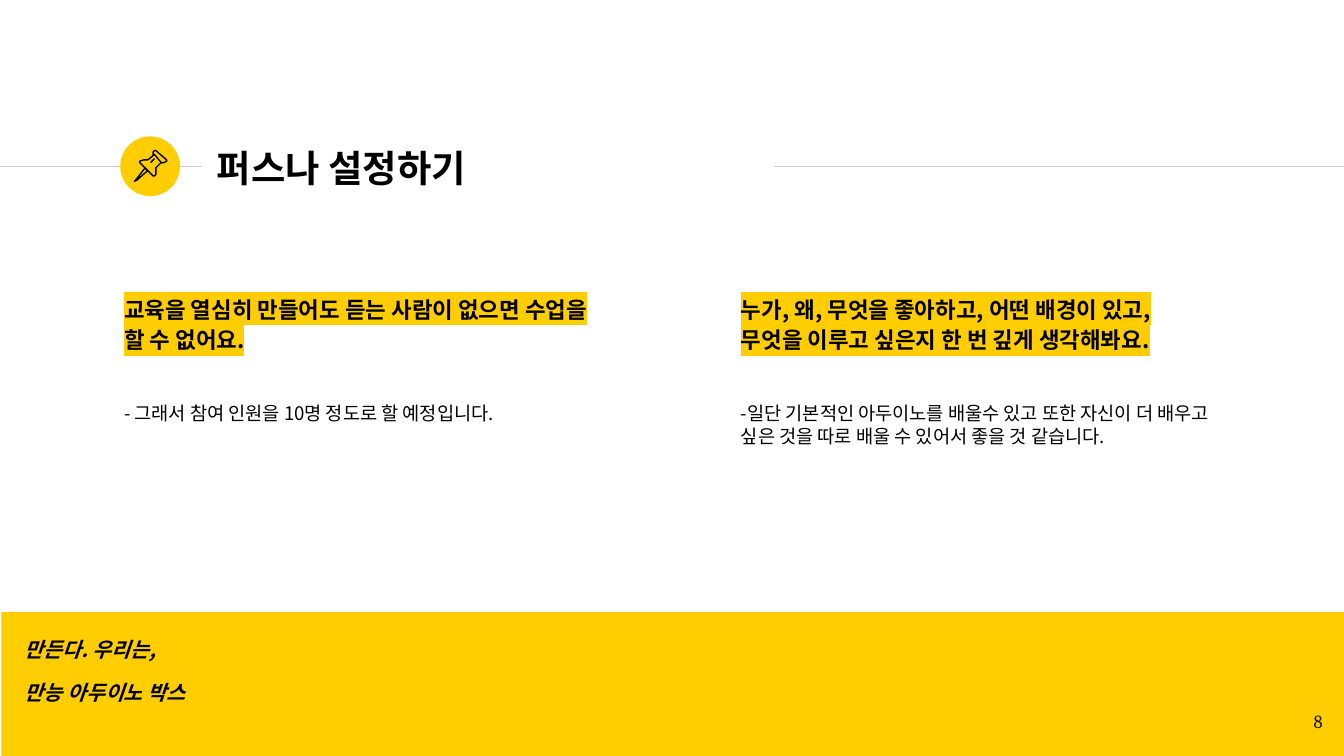
from dataclasses import dataclass

from lxml import etree
from pptx import Presentation
from pptx import util as u
from pptx.dml.color import RGBColor
from pptx.enum import shapes, text
from pptx.oxml import ns

PX = 4572


@dataclass(frozen=True)
class Theme:
    """Colours, fonts and type sizes of the deck."""
    accent: str = "FFCD00"
    rule: str = "CCCCCC"
    ink: str = "000000"
    number: str = "1D1D1B"
    sans: str = "Noto Sans CJK KR"
    serif: str = "Cambria"
    title: int = 20
    lead: int = 12
    footer: int = 11
    body: int = 10
    stroke: float = 0.75


class Slide:
    """One page and the methods that draw its elements."""

    def __init__(self, deck, theme):
        """Add a blank page to the deck."""
        self.page = deck.slides.add_slide(deck.slide_layouts[6])
        self.theme = theme

    def rule(self, left, right, y):
        """Draw a thin horizontal line."""
        line = self.page.shapes.add_connector(
            shapes.MSO_CONNECTOR.STRAIGHT, left * PX, y * PX, right * PX, y * PX)
        line.line.color.rgb = RGBColor.from_string(self.theme.rule)
        line.line.width = u.Pt(self.theme.stroke)
        properties = line._element.find(ns.qn("p:spPr"))
        etree.SubElement(properties, ns.qn("a:effectLst"))

    def block(self, kind, left, top, width, height):
        """Draw a shape filled with the accent colour."""
        shape = self.page.shapes.add_shape(
            kind, left * PX, top * PX, width * PX, height * PX)
        shape.shadow.inherit = False
        shape.fill.solid()
        shape.fill.fore_color.rgb = RGBColor.from_string(self.theme.accent)
        shape.line.fill.background()

    def icon(self, outlines):
        """Draw a group of stroked outlines given as (points, closed)."""
        group = self.page.shapes.add_group_shape()
        for points, closed in outlines:
            builder = group.shapes.build_freeform(*points[0], scale=PX)
            builder.add_line_segments(points[1:], close=closed)
            outline = builder.convert_to_shape()
            outline.shadow.inherit = False
            outline.fill.background()
            outline.line.color.rgb = RGBColor.from_string(self.theme.ink)
            outline.line.width = u.Pt(self.theme.stroke)

    def text(self, left, top, width, height, lines, anchor=text.MSO_ANCHOR.TOP):
        """Add a text box and return its paragraphs."""
        box = self.page.shapes.add_textbox(left * PX, top * PX, width * PX, height * PX)
        frame = box.text_frame
        frame.text = "\n".join(lines)
        frame.word_wrap = True
        frame.vertical_anchor = anchor
        frame.margin_left = frame.margin_right = 20 * PX
        frame.margin_top = frame.margin_bottom = 20 * PX
        return frame.paragraphs

    def style(self, para, size, bold=False, italic=False, color=None, font=None,
              highlight=None):
        """Format every run of a paragraph."""
        for span in para.runs:
            span.font.size = u.Pt(size)
            span.font.bold = bold
            span.font.italic = italic
            span.font.color.rgb = RGBColor.from_string(color or self.theme.ink)
            properties = span.font._element
            if highlight:
                mark = etree.SubElement(properties, ns.qn("a:highlight"))
                etree.SubElement(mark, ns.qn("a:srgbClr"), val=highlight)
            span.font.name = font or self.theme.sans
            etree.SubElement(properties, ns.qn("a:ea"), typeface=span.font.name)

    def title(self, words):
        """Add the page title."""
        para, = self.text(303, 202, 848, 96, [words], text.MSO_ANCHOR.MIDDLE)
        self.style(para, self.theme.title, bold=True)

    def column(self, left, lead, body):
        """Add a highlighted statement with a remark below it."""
        first, second = self.text(left, 414, 736, 482, [lead, body])
        first.line_spacing = 1.15
        second.space_before = u.Pt(26)
        self.style(first, self.theme.lead, bold=True, highlight=self.theme.accent)
        self.style(second, self.theme.body)

    def footer(self, lines):
        """Add the slogan on the bottom band."""
        paras = self.text(17, 928, 1716, 180, lines)
        for para in paras:
            self.style(para, self.theme.footer, bold=True, italic=True)
        for para in paras[1:]:
            para.space_before = u.Pt(10)

    def number(self, value):
        """Add the page number."""
        para, = self.text(1868, 1039, 120, 86, [str(value)])
        para.alignment = text.PP_ALIGN.RIGHT
        self.style(para, self.theme.body, color=self.theme.number, font=self.theme.serif)


PIN = [
    ([(216, 250), (202, 268), (200, 270), (204, 268), (220, 254)], True),
    ([(230, 230), (240, 242), (244, 242), (248, 240), (248, 238),
      (232, 224), (230, 224), (228, 226), (228, 230)], True),
    ([(230, 230), (220, 238), (214, 238), (208, 240), (208, 242), (228, 262),
      (230, 262), (232, 260), (232, 250), (240, 242)], False),
    ([(224, 242), (230, 236)], False),
]

COLUMNS = [
    (165, "교육을 열심히 만들어도 듣는 사람이 없으면 수업을 할 수 없어요.",
     "- 그래서 참여 인원을 10명 정도로 할 예정입니다."),
    (1083, "누가, 왜, 무엇을 좋아하고, 어떤 배경이 있고, 무엇을 이루고 싶은지 한 번 깊게 생각해봐요.",
     "-일단 기본적인 아두이노를 배울수 있고 또한 자신이 더 배우고 싶은 것을 따로 배울 수 있어서 좋을 것 같습니다."),
]


def main():
    """Build the persona slide."""
    deck = Presentation()
    deck.slide_width, deck.slide_height = 2000 * PX, 1125 * PX
    slide = Slide(deck, Theme())
    slide.rule(0, 300, 248)
    slide.block(shapes.MSO_SHAPE.OVAL, 179, 203, 89, 89)
    slide.rule(1152, 2000, 248)
    slide.block(shapes.MSO_SHAPE.RECTANGLE, 2, 911, 1998, 214)
    slide.title("퍼스나 설정하기")
    slide.icon(PIN)
    for left, lead, body in COLUMNS:
        slide.column(left, lead, body)
    slide.footer(["만든다. 우리는,", "만능 아두이노 박스"])
    slide.number(8)
    deck.save("out.pptx")


if __name__ == "__main__":
    main()
